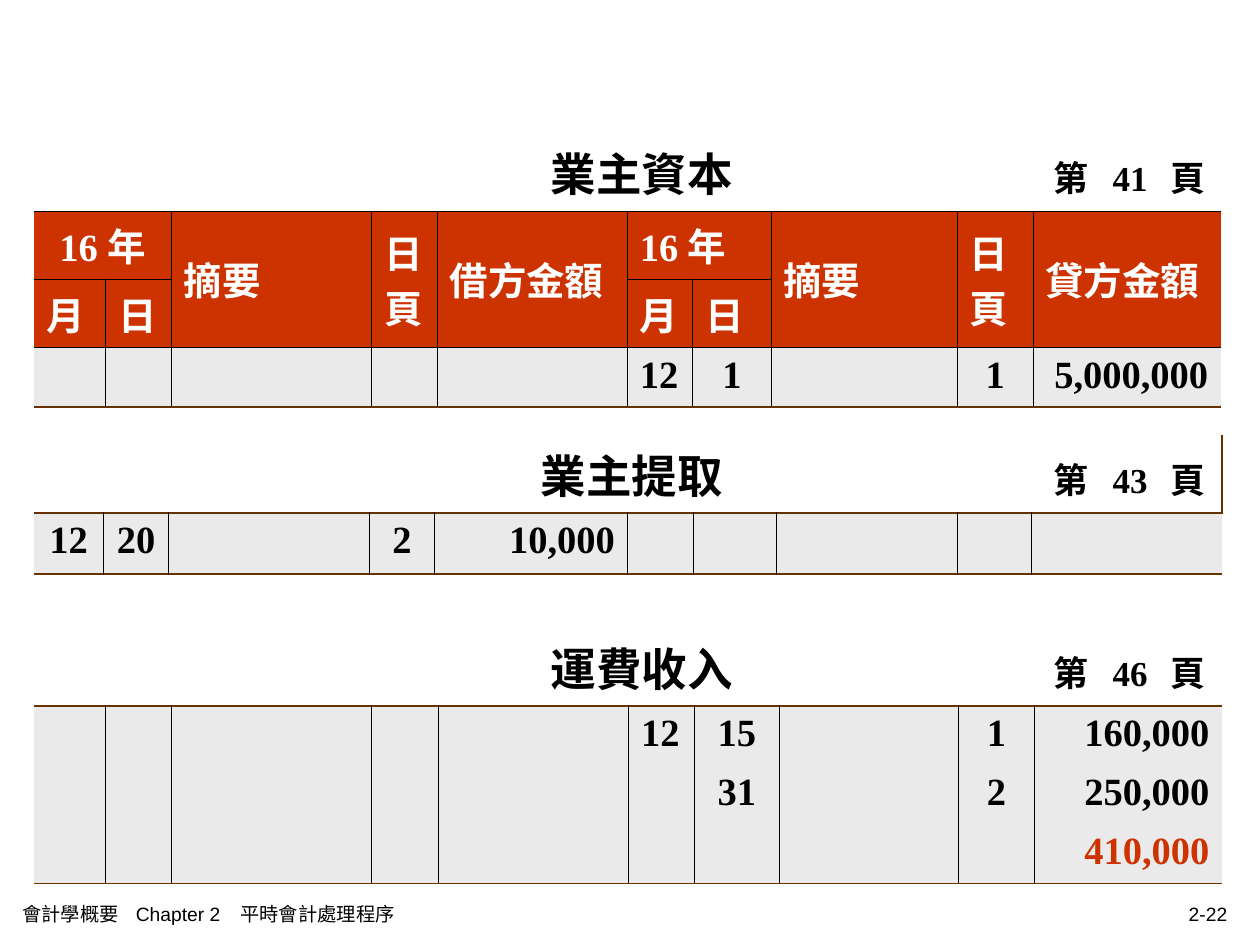
"""Build a ledger slide with three account tables and a footer."""
from lxml import etree
from pptx import Presentation
from pptx import util as u
from pptx.dml.color import RGBColor
from pptx.enum import text
from pptx.oxml.ns import qn

THEME = {
    "black": "000000", "white": "FFFFFF", "accent": "CC3300", "grey": "EAEAEA", "brown": "663300",
    "body_font": "Times New Roman", "footer_font": "Arial",
    "title": 26, "page": 20, "body": 22, "footer": 11,
    "thin": 0.45, "thick": 1.08,
    "plain_table": "{2D5ABB26-0587-4C30-8999-92F81FD0307C}",
}
LEFT, CENTER, RIGHT = text.PP_ALIGN.LEFT, text.PP_ALIGN.CENTER, text.PP_ALIGN.RIGHT
TABLE_LEFT, TABLE_WIDTH = 0.27, 9.42
PAGE_TABS = [7.99, 8.46, 8.92]
HEADER = [
    (1, 0, 1, 2, "16 年", CENTER), (1, 2, 2, 1, "摘要", LEFT), (1, 3, 2, 1, "日頁", LEFT),
    (1, 4, 2, 1, "借方金額", LEFT), (1, 5, 1, 2, "16 年", LEFT), (1, 7, 2, 1, "摘要", LEFT),
    (1, 8, 2, 1, "日頁", LEFT), (1, 9, 2, 1, "貸方金額", LEFT),
    (2, 0, 1, 1, "月", LEFT), (2, 1, 1, 1, "日", LEFT),
    (2, 5, 1, 1, "月", LEFT), (2, 6, 1, 1, "日", LEFT),
]
ACCOUNTS = [
    {"name": "業主資本", "page": "41", "top": 1.05, "tab": 4.0, "header": HEADER, "rule": "thin",
     "columns": [0.57, 0.52, 1.59, 0.52, 1.51, 0.52, 0.62, 1.48, 0.6, 1.49],
     "rows": [0.53, 0.54, 0.54, 0.47],
     "entries": [{5: "12", 6: "1", 8: "1", 9: "5,000,000"}]},
    {"name": "運費收入", "page": "46", "top": 4.98, "tab": 4.0, "header": [], "rule": "thick",
     "columns": [0.57, 0.52, 1.59, 0.53, 1.51, 0.52, 0.68, 1.42, 0.6, 1.49],
     "rows": [0.53, 0.47, 0.47, 0.47],
     "entries": [{5: "12", 6: "15", 8: "1", 9: "160,000"}, {6: "31", 8: "2", 9: "250,000"},
                 {9: "410,000"}], "total": "410,000"},
    {"name": "業主提取", "page": "43", "top": 3.45, "tab": 3.92, "header": [], "rule": "thick",
     "columns": [0.55, 0.52, 1.59, 0.52, 1.53, 0.52, 0.66, 1.44, 0.59, 1.51],
     "rows": [0.53, 0.48], "title_edge": "thick",
     "entries": [{0: "12", 1: "20", 3: "2", 4: "10,000"}]},
]
ENTRY_ALIGNMENT = {4: RIGHT, 5: LEFT, 9: RIGHT}
FOOTERS = [
    (0.08, 5.1, "會計學概要\tChapter 2\t平時會計處理程序", LEFT, [0.9, 1.73]),
    (7.51, 2.33, "2-22", RIGHT, []),
]


def add_run(paragraph, content, size, color="black", font="body_font", bold=True):
    run = paragraph.add_run()
    run.text = content
    run.font.name = THEME[font]
    run.font.size = u.Pt(THEME[size])
    run.font.bold = bold
    run.font.color.rgb = RGBColor.from_string(THEME[color])


def set_tabs(paragraph, positions):
    tabs = etree.SubElement(paragraph._p.get_or_add_pPr(), qn("a:tabLst"))
    for position in positions:
        etree.SubElement(tabs, qn("a:tab"), pos=str(u.Inches(position)), algn="l")


def set_borders(cell, edges):
    properties = cell._tc.get_or_add_tcPr()
    for index, (side, rule) in enumerate(edges.items()):
        line = etree.Element(qn(f"a:ln{side}"))
        properties.insert(index, line)
        if rule:
            line.set("w", str(u.Pt(THEME[rule])))
            fill = etree.SubElement(line, qn("a:solidFill"))
            color = THEME["black" if rule == "thin" else "brown"]
            etree.SubElement(fill, qn("a:srgbClr"), val=color)
        else:
            line.set("w", "0")
            etree.SubElement(line, qn("a:noFill"))


def horizontal_rule(account, boundary):
    if boundary == 0:
        return None
    if boundary == len(account["rows"]):
        return "thick"
    if boundary == 1:
        return account["rule"]
    return "thin" if account["header"] and boundary <= 3 else None


def border_table(table, account):
    last = len(account["columns"])
    for row in range(len(account["rows"])):
        for column in range(last):
            cell = table.cell(row, column)
            if cell.is_spanned:
                continue
            height = cell.span_height if cell.is_merge_origin else 1
            width = cell.span_width if cell.is_merge_origin else 1
            outer = account.get("title_edge") if row == 0 else None
            set_borders(cell, {
                "L": "thin" if column else None,
                "R": "thin" if column + width < last else outer,
                "T": horizontal_rule(account, row),
                "B": horizontal_rule(account, row + height),
            })


def fill_cell(cell, color):
    cell.fill.solid()
    cell.fill.fore_color.rgb = RGBColor.from_string(THEME[color])


def add_account(slide, account):
    rows, columns = account["rows"], account["columns"]
    table = slide.shapes.add_table(
        len(rows), len(columns), u.Inches(TABLE_LEFT), u.Inches(account["top"]),
        u.Inches(TABLE_WIDTH), u.Inches(sum(rows))).table
    table.first_row = table.horz_banding = False
    table._tbl.tblPr.find(qn("a:tableStyleId")).text = THEME["plain_table"]
    for row, height in zip(table.rows, rows):
        row.height = u.Inches(height)
    for column, width in zip(table.columns, columns):
        column.width = u.Inches(width)

    title = table.cell(0, 0)
    title.merge(table.cell(0, len(columns) - 1))
    paragraph = title.text_frame.paragraphs[0]
    paragraph.space_before = u.Pt(5)
    set_tabs(paragraph, [account["tab"], *PAGE_TABS])
    add_run(paragraph, f"\t{account['name']}", "title")
    add_run(paragraph, f"\t第\t{account['page']}\t頁", "page")

    for row, column, height, width, label, alignment in account["header"]:
        cell = table.cell(row, column)
        if height * width > 1:
            cell.merge(table.cell(row + height - 1, column + width - 1))
        cell.vertical_anchor = text.MSO_ANCHOR.MIDDLE
        fill_cell(cell, "accent")
        add_entry(cell, label, alignment, "white")

    first = len(rows) - len(account["entries"])
    for row, entry in enumerate(account["entries"], first):
        for column in range(len(columns)):
            cell = table.cell(row, column)
            fill_cell(cell, "grey")
            if column in entry:
                color = "accent" if entry[column] == account.get("total") else "black"
                add_entry(cell, entry[column], ENTRY_ALIGNMENT.get(column, CENTER), color)
    border_table(table, account)


def add_entry(cell, content, alignment, color):
    paragraph = cell.text_frame.paragraphs[0]
    paragraph.alignment = alignment
    paragraph.space_before = u.Pt(5.5)
    add_run(paragraph, content, "body", color)


def add_footer(slide, left, width, content, alignment, tabs):
    shape = slide.shapes.add_textbox(u.Inches(left), u.Inches(7.09), u.Inches(width), u.Inches(0.33))
    frame = shape.text_frame
    frame.word_wrap = True
    frame.vertical_anchor = text.MSO_ANCHOR.MIDDLE
    paragraph = frame.paragraphs[0]
    paragraph.alignment = alignment
    if tabs:
        set_tabs(paragraph, tabs)
    add_run(paragraph, content, "footer", font="footer_font", bold=False)


def main():
    presentation = Presentation()
    presentation.slide_width, presentation.slide_height = u.Inches(10), u.Inches(7.5)
    slide = presentation.slides.add_slide(presentation.slide_layouts[6])
    for account in ACCOUNTS:
        add_account(slide, account)
    for footer in FOOTERS:
        add_footer(slide, *footer)
    presentation.save("out.pptx")


if __name__ == "__main__":
    main()
